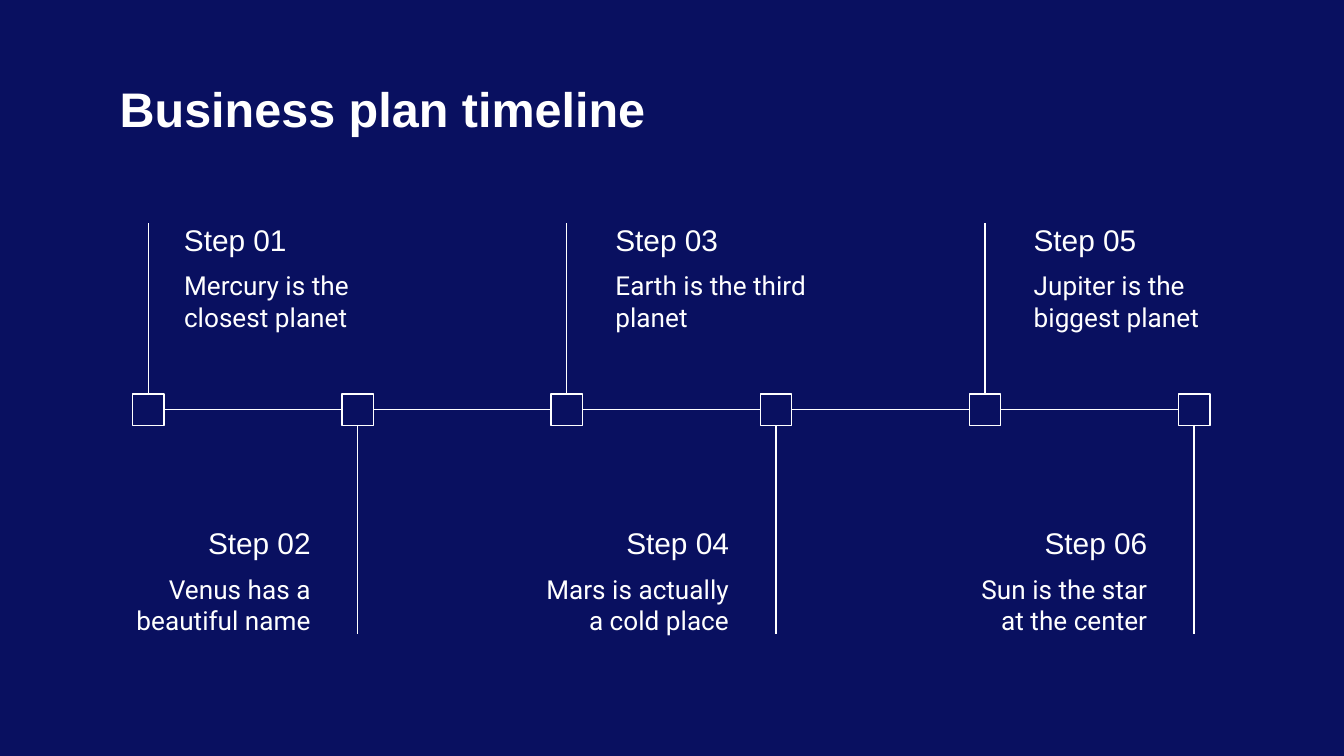
from lxml.etree import SubElement
from pptx import Presentation
from pptx.dml.color import RGBColor
from pptx.enum.shapes import MSO_CONNECTOR, MSO_SHAPE
from pptx.enum.text import MSO_ANCHOR, PP_ALIGN
from pptx.oxml.ns import qn
from pptx.util import Pt

# Content: heading, description, gap between the stem and its text box
TITLE = "Business plan timeline"
STEPS = [
    ("Step 01", "Mercury is the closest planet", 12),
    ("Step 02", "Venus has a beautiful name", 18),
    ("Step 03", "Earth is the third planet", 19),
    ("Step 04", "Mars is actually a cold place", 18),
    ("Step 05", "Jupiter is the biggest planet", 19),
    ("Step 06", "Sun is the star at the center", 18),
]
COLORS = {"background": "091060", "foreground": "FFFFFF"}
WHITE = RGBColor.from_string(COLORS["foreground"])

# Layout in points
FIRST_X, STEP_GAP = 79.5, 112.05
AXIS_Y, MARKER = 219.4, 16.8
STEM_TOP, STEM_BOTTOM = 119.5, 339.5
LOWER_TEXT_TOP = 282
HEADING_WIDTH, HEADING_HEIGHT = 80, 17.8
DETAIL_WIDTH = 116.6


def add_text(slide, text, box, font, size, bold=False,
             align=PP_ALIGN.LEFT, anchor=MSO_ANCHOR.TOP):
    frame = slide.shapes.add_textbox(*map(Pt, box)).text_frame
    frame.word_wrap = True
    frame.vertical_anchor = anchor
    frame.margin_left = frame.margin_right = Pt(7.2)
    frame.margin_top = frame.margin_bottom = Pt(7.2)
    frame.text = text
    paragraph = frame.paragraphs[0]
    paragraph.alignment = align
    style = paragraph.runs[0].font
    style.name, style.size, style.bold = font, Pt(size), bold
    style.color.rgb = WHITE


def outline(line):
    line.color.rgb = WHITE
    line.width = Pt(0.75)


def add_line(slide, *ends):
    connector = slide.shapes.add_connector(MSO_CONNECTOR.STRAIGHT, *map(Pt, ends))
    outline(connector.line)
    SubElement(connector._element.spPr, qn("a:effectLst"))


def add_step(slide, index, heading, detail, gap):
    x = FIRST_X + index * STEP_GAP
    half = MARKER / 2
    above = index % 2 == 0

    # Marker and the axis segment to the next one
    marker = slide.shapes.add_shape(
        MSO_SHAPE.RECTANGLE, Pt(x - half), Pt(AXIS_Y - half), Pt(MARKER), Pt(MARKER))
    marker.shadow.inherit = False
    marker.fill.background()
    outline(marker.line)
    if index < len(STEPS) - 1:
        add_line(slide, x + half, AXIS_Y, x + STEP_GAP - half, AXIS_Y)

    # Stem: odd steps point up, even steps point down
    if above:
        add_line(slide, x, AXIS_Y - half, x, STEM_TOP)
    else:
        add_line(slide, x, AXIS_Y + half, x, STEM_BOTTOM)

    # Heading and description beside the stem
    top = STEM_TOP if above else LOWER_TEXT_TOP
    align = PP_ALIGN.LEFT if above else PP_ALIGN.RIGHT
    detail_height = 50.4 if above else 43.2

    def left(width):
        return x + gap if above else x - gap - width

    add_text(slide, detail,
             (left(DETAIL_WIDTH), top + HEADING_HEIGHT, DETAIL_WIDTH, detail_height),
             "Roboto", 14, align=align)
    add_text(slide, heading,
             (left(HEADING_WIDTH), top, HEADING_WIDTH, HEADING_HEIGHT),
             "Arial", 16, align=align, anchor=MSO_ANCHOR.MIDDLE)


def main():
    deck = Presentation()
    deck.slide_width, deck.slide_height = Pt(720), Pt(405)
    slide = deck.slides.add_slide(deck.slide_layouts[6])
    slide.background.fill.solid()
    slide.background.fill.fore_color.rgb = RGBColor.from_string(COLORS["background"])

    add_text(slide, TITLE, (57, 35.4, 606, 45), "Arial", 26, bold=True)
    for index, step in enumerate(STEPS):
        add_step(slide, index, *step)
    deck.save("out.pptx")


if __name__ == "__main__":
    main()
